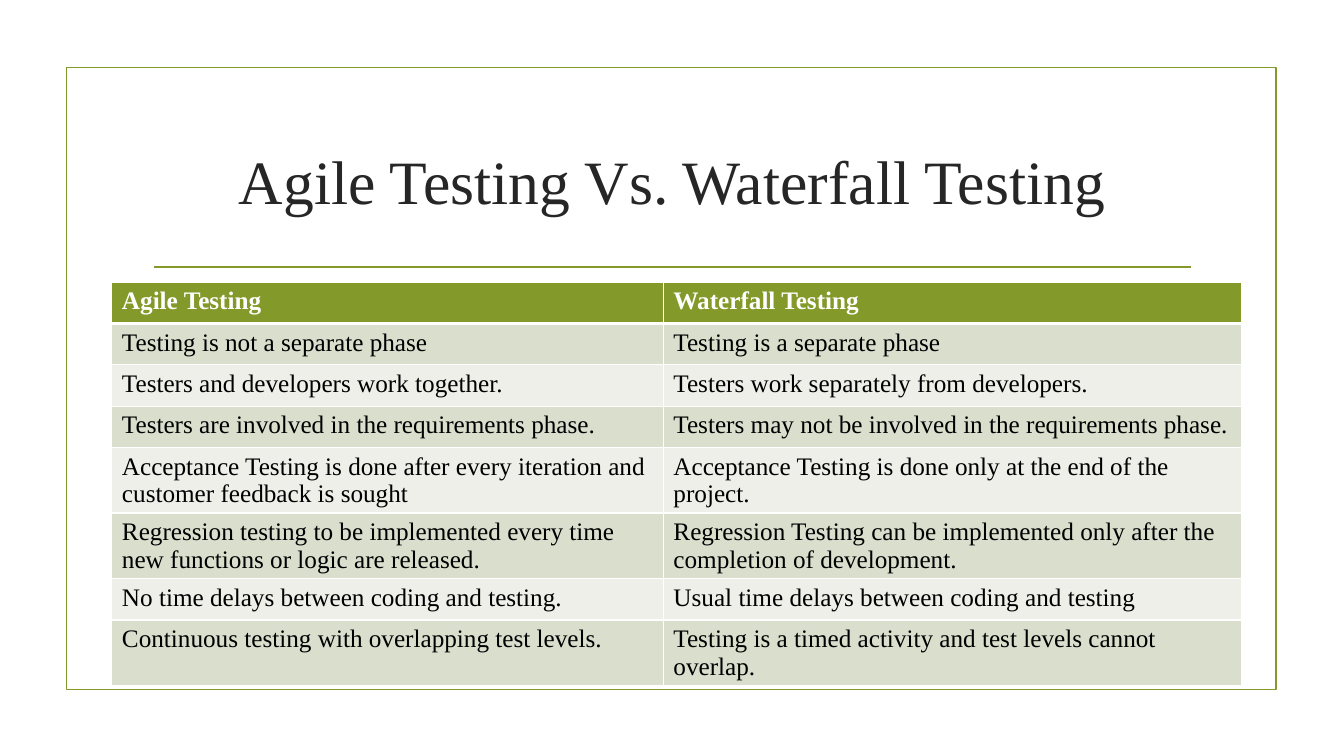
from lxml.etree import SubElement
from pptx import Presentation
from pptx.dml.color import RGBColor
from pptx.enum.shapes import MSO_CONNECTOR, MSO_SHAPE
from pptx.enum.text import MSO_ANCHOR, PP_ALIGN
from pptx.oxml.ns import qn
from pptx.util import Inches, Pt

FONT = "Times New Roman"
COLORS = {
    "green": "83992A",
    "title": "262626",
    "text": "000000",
    "white": "FFFFFF",
    "band_dark": "D9DECD",
    "band_light": "EDEFE8",
}
ROWS = [
    ("Agile Testing", "Waterfall Testing"),
    ("Testing is not a separate phase", "Testing is a separate phase"),
    ("Testers and developers work together.",
     "Testers work separately from developers."),
    ("Testers are involved in the requirements phase.",
     "Testers may not be involved in the requirements phase."),
    ("Acceptance Testing is done after every iteration and customer feedback is sought",
     "Acceptance Testing is done only at the end of the project."),
    ("Regression testing to be implemented every time new functions or logic are released.",
     "Regression Testing can be implemented only after the completion of development."),
    ("No time delays between coding and testing.",
     "Usual time delays between coding and testing"),
    ("Continuous testing with overlapping test levels.",
     "Testing is a timed activity and test levels cannot overlap."),
]


def rgb(name):
    return RGBColor.from_string(COLORS[name])


def style_paragraph(p, size, color, bold=False):
    p.font.name = FONT
    p.font.size = Pt(size)
    p.font.bold = bold
    p.font.color.rgb = rgb(color)


def add_frame(s, left, top, width, height):
    sp = s.shapes.add_shape(MSO_SHAPE.RECTANGLE, Inches(left), Inches(top),
                            Inches(width), Inches(height))
    sp.shadow.inherit = False
    sp.fill.background()
    sp.line.color.rgb = rgb("green")
    sp.line.width = Pt(1.25)


def add_title(s, left, top, width, height):
    sp = s.shapes.add_textbox(Inches(left), Inches(top), Inches(width), Inches(height))
    tf = sp.text_frame
    tf.word_wrap = True
    tf.vertical_anchor = MSO_ANCHOR.MIDDLE
    p = tf.paragraphs[0]
    p.text = "Agile Testing Vs. Waterfall Testing"
    p.alignment = PP_ALIGN.CENTER
    style_paragraph(p, 44, "title")

    rule_left, rule_y = Inches(left + 0.11), Inches(top + height + 0.15)
    rule = s.shapes.add_connector(MSO_CONNECTOR.STRAIGHT, rule_left, rule_y,
                                  rule_left + Inches(width - 0.22), rule_y)
    rule.line.color.rgb = rgb("green")
    rule.line.width = Pt(1.25)
    SubElement(rule._element.spPr, qn("a:effectLst"))


def set_borders(cell, widths):
    tcPr = cell._tc.get_or_add_tcPr()
    for side, width in widths.items():
        ln = SubElement(tcPr, qn(f"a:ln{side}"), w=str(Pt(width)))
        fill = SubElement(ln, qn("a:solidFill"))
        SubElement(fill, qn("a:srgbClr"), val=COLORS["white"])


def add_comparison(s, left, top, col_widths, row_height):
    frame = s.shapes.add_table(len(ROWS), len(col_widths), Inches(left), Inches(top),
                               Inches(sum(col_widths)), Inches(row_height * len(ROWS)))
    table = frame.table
    table.horz_banding = False
    for column, width in zip(table.columns, col_widths):
        column.width = Inches(width)
    for i, texts in enumerate(ROWS):
        header = i == 0
        fill = "green" if header else ("band_light", "band_dark")[i % 2]
        table.rows[i].height = Inches(row_height)
        for j, text in enumerate(texts):
            cell = table.cell(i, j)
            cell.margin_bottom = Inches(0)
            set_borders(cell, {"L": 1, "R": 1, "T": 3 if i == 1 else 1,
                               "B": 3 if header else 1})
            cell.fill.solid()
            cell.fill.fore_color.rgb = rgb(fill)
            p = cell.text_frame.paragraphs[0]
            p.text = text
            style_paragraph(p, 18, "white" if header else "text", header)


def main():
    prs = Presentation()
    prs.slide_width, prs.slide_height = Inches(13.33), Inches(7.5)
    s = prs.slides.add_slide(prs.slide_layouts[6])
    add_frame(s, 0.66, 0.67, 12, 6.17)
    add_title(s, 1.42, 1.07, 10.5, 1.43)
    add_comparison(s, 1.11, 2.8, (5.47, 5.73), 0.41)
    prs.save("out.pptx")


if __name__ == "__main__":
    main()
